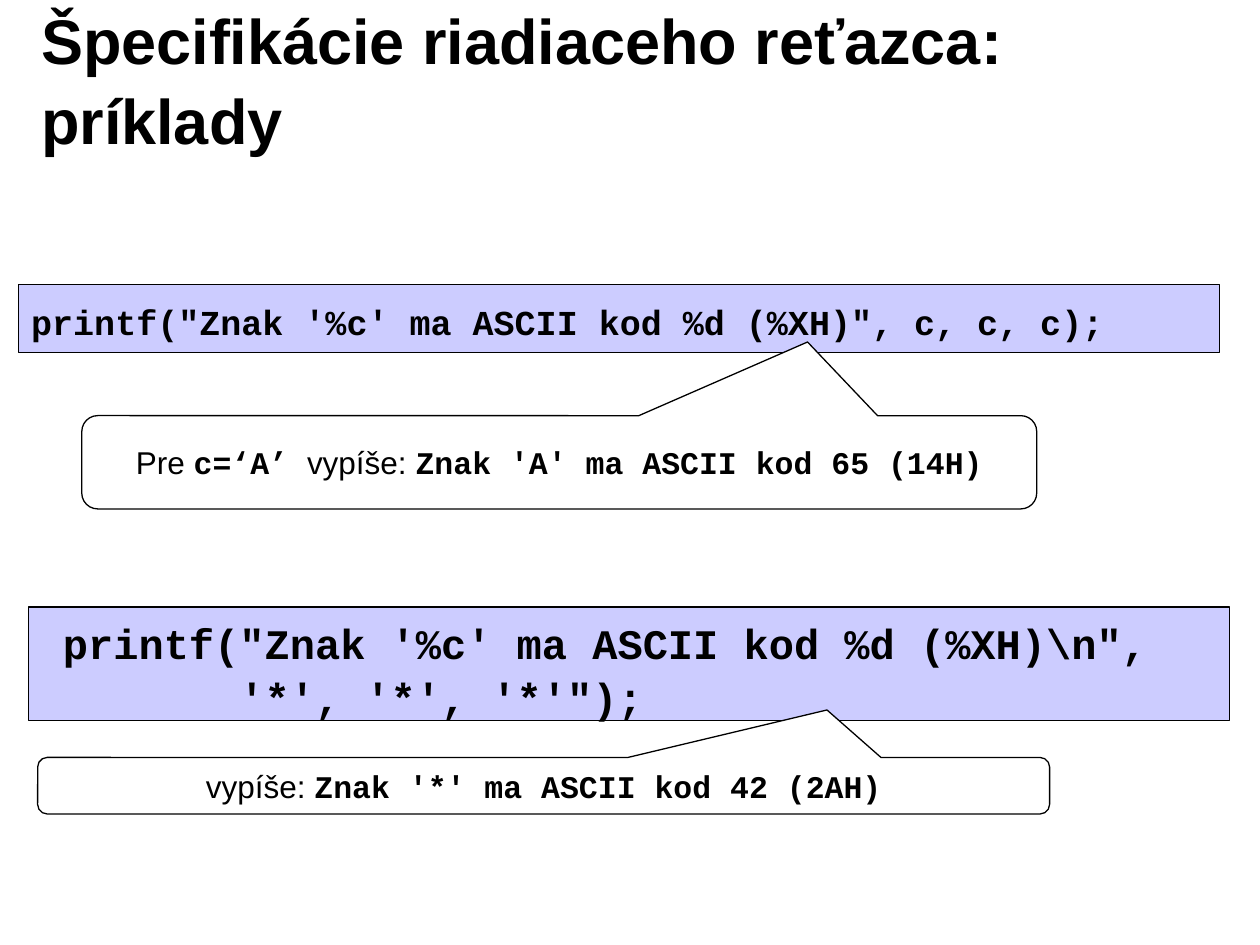
import pptx
import pptx.util
import pptx.dml.color
import pptx.enum.shapes
import pptx.enum.text
from pptx.util import Cm, Pt

COLORS = {"ink": "000000", "code": "CCCCFF", "paper": "FFFFFF"}
SHAPES = pptx.enum.shapes.MSO_SHAPE
ALIGN = pptx.enum.text.PP_ALIGN
ANCHOR = pptx.enum.text.MSO_ANCHOR


def rgb(name):
    return pptx.dml.color.RGBColor.from_string(COLORS[name])


def write(frame, paragraphs, size, align, anchor, spacing=1.0):
    frame.word_wrap = True
    frame.vertical_anchor = anchor
    frame.text = "\n".join("" for _ in paragraphs)
    for paragraph, pieces in zip(frame.paragraphs, paragraphs):
        paragraph.alignment = align
        paragraph.line_spacing = spacing
        for words, font, bold in pieces:
            run = paragraph.add_run()
            run.text = words
            run.font.name = font
            run.font.size = Pt(size)
            run.font.bold = bold
            run.font.color.rgb = rgb("ink")


deck = pptx.Presentation()
deck.slide_width, deck.slide_height = Cm(25.4), Cm(19.05)
slide = deck.slides.add_slide(deck.slide_layouts[6])

heading = slide.shapes.add_textbox(Cm(0.58), Cm(0.38), Cm(20.4), Cm(2.36))
write(heading.text_frame, [[("Špecifikácie riadiaceho reťazca: príklady", "Arial", True)]],
      36, ALIGN.LEFT, ANCHOR.MIDDLE, 1.05)

examples = [
    {
        "panel": (0.38, 5.74, 24.2, 1.37),
        "code_box": (0.38, 5.87, 24.7, 1.12),
        "code": ["printf(\"Znak '%c' ma ASCII kod %d (%XH)\", c, c, c);"],
        "size": 20,
        "callout": (1.65, 8.38, 19.25, 1.88),
        "pointer": (0.26, -1.29),
        "output": [("Pre ", "Arial", False), ("c=‘A’ ", "Courier New", True),
                   ("vypíše: ", "Arial", False),
                   ("Znak 'A' ma ASCII kod 65 (14H)", "Courier New", True)],
    },
    {
        "panel": (0.58, 12.24, 24.2, 2.29),
        "code_box": (1.02, 12.24, 23.52, 2.29),
        "code": ["printf(\"Znak '%c' ma ASCII kod %d (%XH)\\n\",",
                 "       '*', '*', '*'\");"],
        "size": 24,
        "callout": (0.76, 15.27, 20.4, 1.14),
        "pointer": (0.28, -1.34),
        "output": [("vypíše: ", "Arial", False),
                   ("Znak '*' ma ASCII kod 42 (2AH)", "Courier New", True)],
    },
]

for example in examples:
    listing = slide.shapes.add_group_shape()
    panel = listing.shapes.add_shape(SHAPES.RECTANGLE, *map(Cm, example["panel"]))
    code = listing.shapes.add_textbox(*map(Cm, example["code_box"]))
    write(code.text_frame, [[(line, "Courier New", True)] for line in example["code"]],
          example["size"], ALIGN.LEFT, ANCHOR.TOP, 1.08)

    callout = slide.shapes.add_shape(SHAPES.ROUNDED_RECTANGULAR_CALLOUT,
                                     *map(Cm, example["callout"]))
    callout.adjustments[0], callout.adjustments[1] = example["pointer"]
    callout.adjustments[2] = 0.17
    write(callout.text_frame, [example["output"]], 18, ALIGN.CENTER, ANCHOR.MIDDLE)

    for outline, fill in ((panel, "code"), (callout, "paper")):
        outline.shadow.inherit = False
        outline.fill.solid()
        outline.fill.fore_color.rgb = rgb(fill)
        outline.line.color.rgb = rgb("ink")
        outline.line.width = Pt(0.75)

deck.save("out.pptx")
